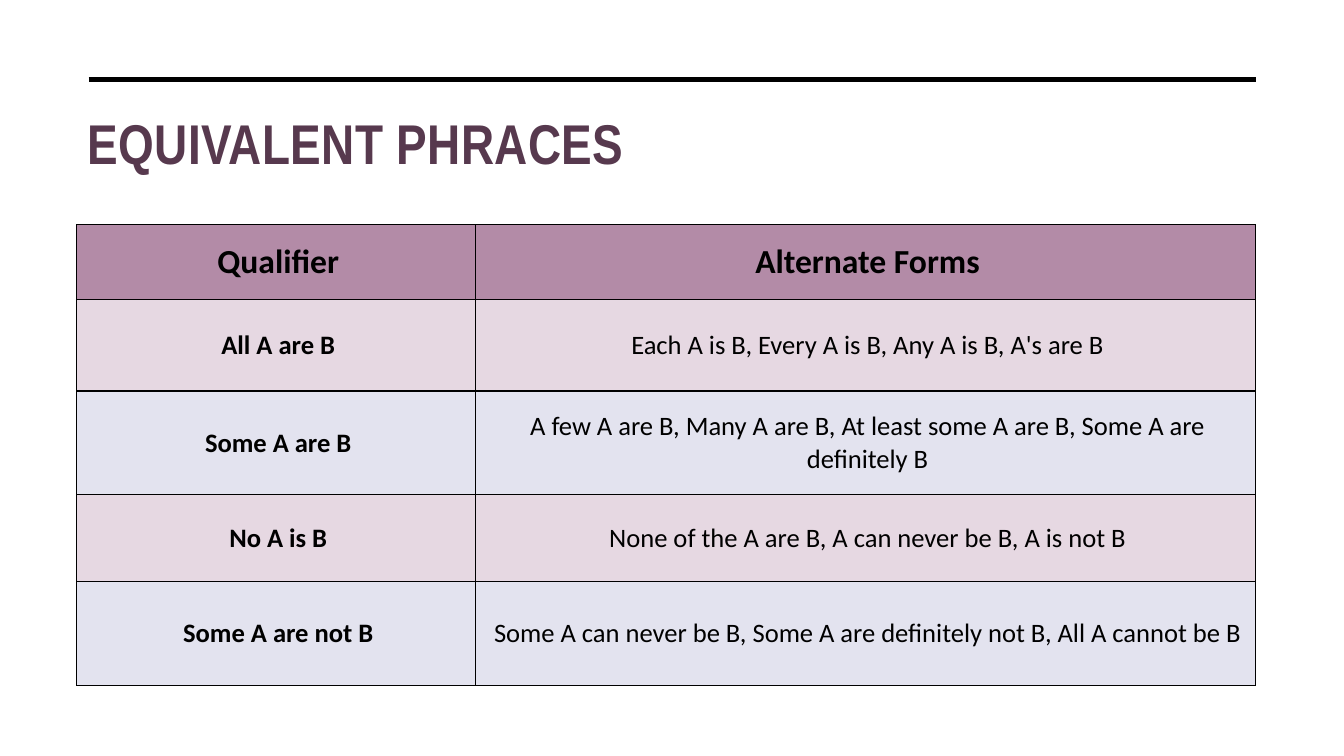
from dataclasses import dataclass

from lxml.etree import SubElement
from pptx import Presentation
from pptx.dml.color import RGBColor
from pptx.enum.shapes import MSO_CONNECTOR
from pptx.enum.text import MSO_ANCHOR, PP_ALIGN
from pptx.oxml.ns import qn
from pptx.slide import Slide
from pptx.table import _Cell
from pptx.util import Inches, Pt


@dataclass(frozen=True)
class Theme:
    ink: str = "000000"
    title: str = "57394E"
    head: str = "B38BA7"
    bands: tuple[str, str] = ("E6D8E2", "E3E3EF")
    title_font: str = "Arial Narrow"
    body_font: str = "Calibri"
    title_size: float = 40
    head_size: float = 24
    body_size: float = 19


@dataclass(frozen=True)
class Row:
    label: str
    forms: str
    height: float


THEME = Theme()
COLUMNS = (3.96, 7.73)
ROWS = (
    Row("Qualifier", "Alternate Forms", 0.74),
    Row("All A are B", "Each A is B, Every A is B, Any A is B, A's are B", 0.91),
    Row("Some A are B", "A few A are B, Many A are B, At least some A are B, "
        "Some A are definitely B", 1.03),
    Row("No A is B", "None of the A are B, A can never be B, A is not B", 0.86),
    Row("Some A are not B", "Some A can never be B, Some A are definitely not B, "
        "All A cannot be B", 1.03),
)


def add_rule(slide: Slide, left: float, right: float, top: float) -> None:
    rule = slide.shapes.add_connector(
        MSO_CONNECTOR.STRAIGHT, Inches(left), Inches(top), Inches(right), Inches(top))
    rule.line.color.rgb = RGBColor.from_string(THEME.ink)
    rule.line.width = Pt(3.5)
    SubElement(rule._element.spPr, qn("a:effectLst"))


def add_title(slide: Slide, text: str) -> None:
    box = slide.shapes.add_textbox(Inches(0.77), Inches(1.03), Inches(11.69), Inches(1.2))
    frame = box.text_frame
    frame.word_wrap = True
    frame.text = text
    run = frame.paragraphs[0].runs[0]
    run.font.name = THEME.title_font
    run.font.size = Pt(THEME.title_size)
    run.font.bold = True
    run.font.color.rgb = RGBColor.from_string(THEME.title)
    run.font._element.set("spc", "30")


def add_border(cell: _Cell) -> None:
    """Outline all four sides; call before the fill, which must follow in the XML."""
    props = cell._tc.get_or_add_tcPr()
    for side in ("lnL", "lnR", "lnT", "lnB"):
        line = SubElement(props, qn(f"a:{side}"), w=str(Pt(1)))
        fill = SubElement(line, qn("a:solidFill"))
        SubElement(fill, qn("a:srgbClr"), val=THEME.ink)


def style_cell(cell: _Cell, text: str, fill: str, size: float, bold: bool) -> None:
    add_border(cell)
    cell.fill.solid()
    cell.fill.fore_color.rgb = RGBColor.from_string(fill)
    cell.vertical_anchor = MSO_ANCHOR.MIDDLE
    cell.margin_left = Inches(0.17)
    cell.margin_right = cell.margin_top = cell.margin_bottom = Inches(0.13)
    cell.text_frame.text = text
    para = cell.text_frame.paragraphs[0]
    para.alignment = PP_ALIGN.CENTER
    font = para.runs[0].font
    font.name = THEME.body_font
    font.size = Pt(size)
    font.bold = bold
    font.color.rgb = RGBColor.from_string(THEME.ink)


def add_phrases(slide: Slide) -> None:
    height = sum(row.height for row in ROWS)
    table = slide.shapes.add_table(
        len(ROWS), len(COLUMNS), Inches(0.76), Inches(2.23),
        Inches(sum(COLUMNS)), Inches(height)).table
    for column, width in zip(table.columns, COLUMNS):
        column.width = Inches(width)
    for r, row in enumerate(ROWS):
        table.rows[r].height = Inches(row.height)
        head = r == 0
        fill = THEME.head if head else THEME.bands[(r - 1) % 2]
        size = THEME.head_size if head else THEME.body_size
        for c, text in enumerate((row.label, row.forms)):
            style_cell(table.cell(r, c), text, fill, size, head or c == 0)


def main() -> None:
    deck = Presentation()
    deck.slide_width, deck.slide_height = Inches(13.33), Inches(7.5)
    slide = deck.slides.add_slide(deck.slide_layouts[6])
    add_rule(slide, 0.88, 12.46, 0.79)
    add_title(slide, "EQUIVALENT PHRACES")
    add_phrases(slide)
    deck.save("out.pptx")


if __name__ == "__main__":
    main()
